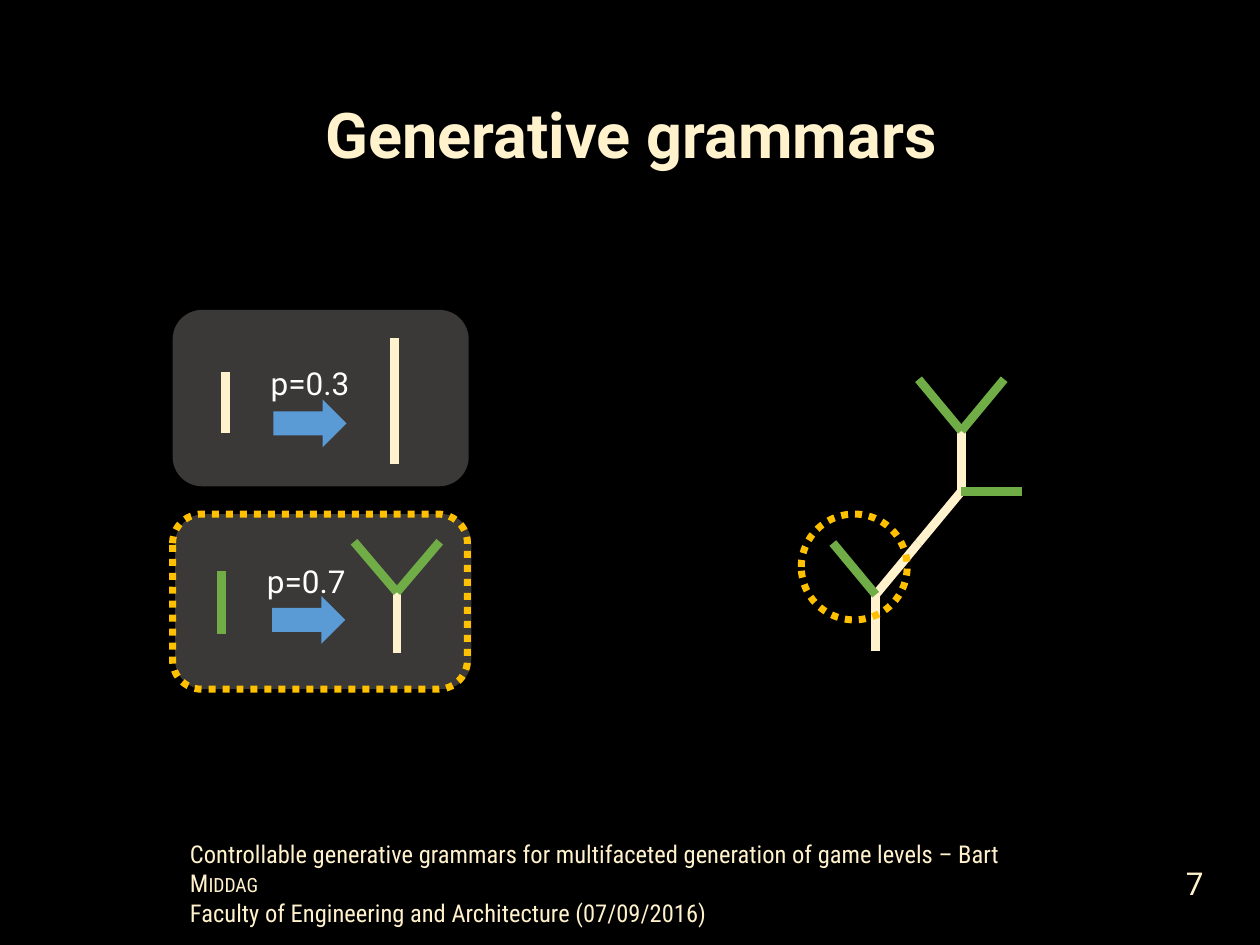
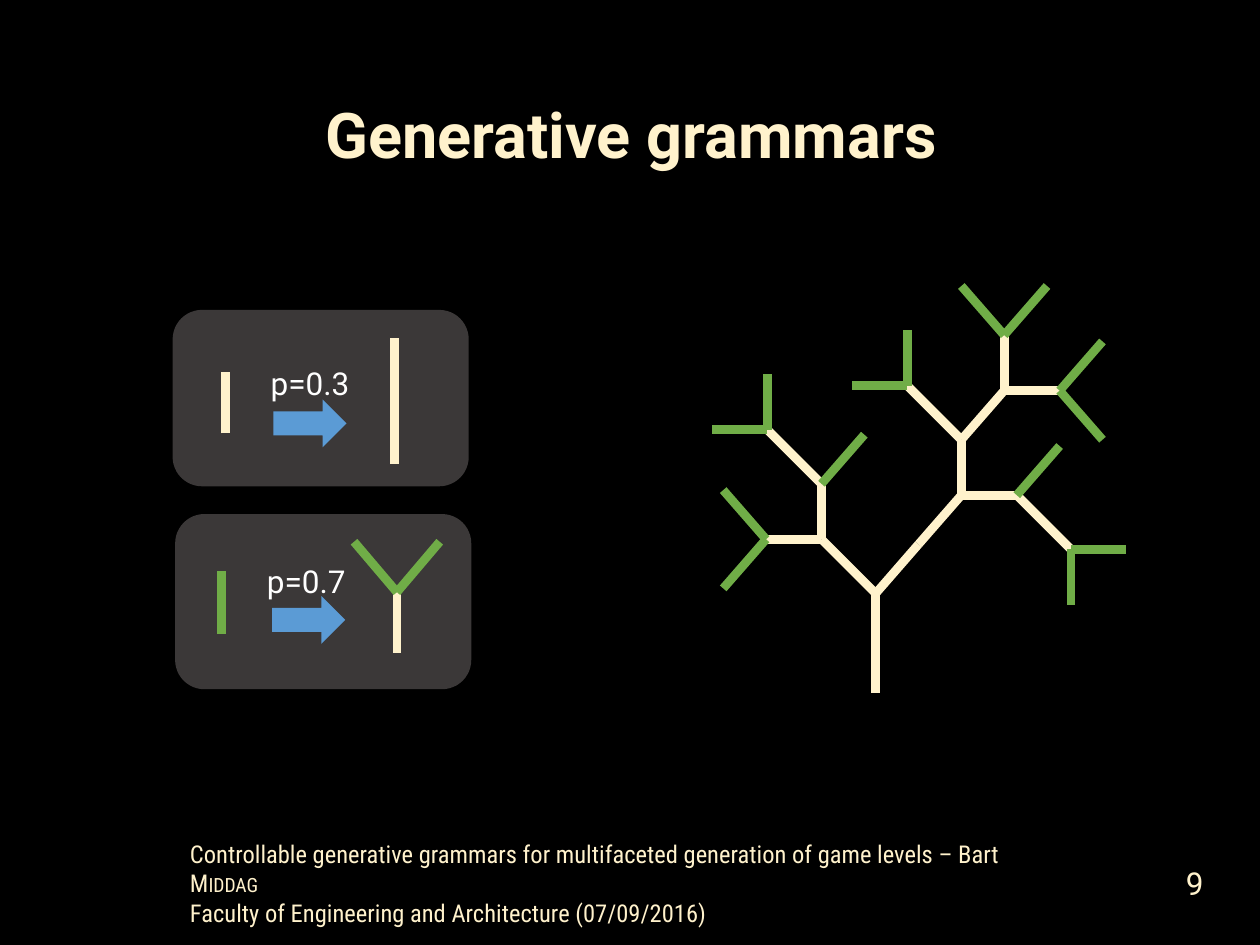
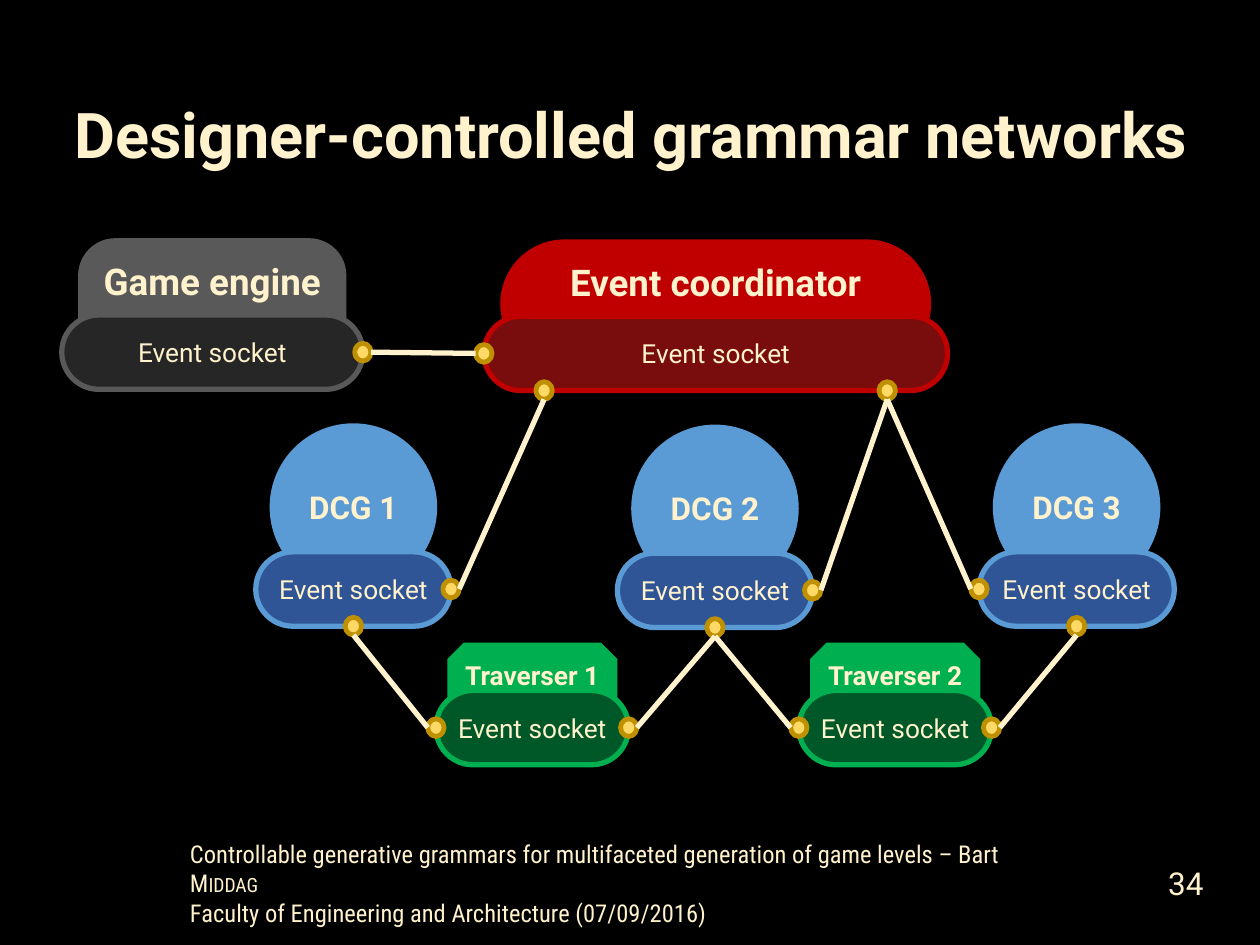
"""Build three dark slides on generative grammars and grammar networks."""
from lxml import etree
from pptx import Presentation
from pptx.dml.color import RGBColor
from pptx.enum.dml import MSO_LINE
from pptx.enum.shapes import MSO_CONNECTOR, MSO_SHAPE as Kind
from pptx.enum.text import MSO_ANCHOR as Anchor, MSO_AUTO_SIZE as Auto, PP_ALIGN as Align
from pptx.oxml.ns import qn
from pptx.util import Cm, Pt

INCH = 2.54
BLACK = RGBColor(0x00, 0x00, 0x00)
WHITE = RGBColor(0xFF, 0xFF, 0xFF)
CREAM = RGBColor(0xFF, 0xF2, 0xCC)
LEAF = RGBColor(0x70, 0xAD, 0x47)
SLATE = RGBColor(0x3B, 0x38, 0x38)
AMBER = RGBColor(0xFF, 0xC0, 0x00)
BLUE = RGBColor(0x5B, 0x9B, 0xD5)
NAVY = RGBColor(0x2F, 0x55, 0x97)
RED = RGBColor(0xC0, 0x00, 0x00)
WINE = RGBColor(0x79, 0x0D, 0x0D)
GREEN = RGBColor(0x00, 0xB0, 0x50)
PINE = RGBColor(0x00, 0x58, 0x28)
GREY = RGBColor(0x59, 0x59, 0x59)
COAL = RGBColor(0x26, 0x26, 0x26)
GOLD = RGBColor(0xFF, 0xD9, 0x66)
OCHRE = RGBColor(0xBF, 0x90, 0x00)


def write(shape, text, size=18, color=CREAM, font="Roboto", bold=False,
          align=Align.LEFT, anchor=Anchor.TOP, wrap=True, caps=False):
    frame = shape.text_frame
    frame.word_wrap, frame.vertical_anchor = wrap, anchor
    para = frame.paragraphs[-1]
    para.alignment = align
    run = para.add_run()
    run.text = text
    run.font.size, run.font.name, run.font.bold = Pt(size), font, bold
    run.font.color.rgb = color
    if caps:
        run.font._element.set("cap", "small")
    return frame


def draw(slide, kind, box, fill=None, edge=None, width=3, adj=()):
    shape = slide.shapes.add_shape(kind, *[Cm(INCH * n) for n in box])
    shape.shadow.inherit = False
    for ink, part in ((fill, shape.fill), (edge, shape.line.fill)):
        if ink is None:
            part.background()
        else:
            part.solid()
            part.fore_color.rgb = ink
    if edge is not None:
        shape.line.width = Pt(width)
    for i, value in enumerate(adj):
        shape.adjustments[i] = value
    return shape


prs = Presentation()
prs.slide_width, prs.slide_height = Cm(INCH * 10), Cm(INCH * 7.5)
back = prs.slide_master.background.fill
back.solid()
back.fore_color.rgb = BLACK

slides = []
for name, page in (("Generative grammars", "7"), ("Generative grammars", "9"),
                   ("Designer-controlled grammar networks", "34")):
    slide = prs.slides.add_slide(prs.slide_layouts[5])
    slides.append(slide)
    title = slide.shapes.title
    title.left, title.top, title.width, title.height = [
        Cm(INCH * n) for n in (0.48, 0.57, 9.06, 1.06)]
    frame = write(title, name, size=36, bold=True, align=Align.CENTER, anchor=Anchor.MIDDLE)
    frame.auto_size = Auto.NONE
    frame.paragraphs[0].line_spacing = 0.9

    foot = slide.shapes.add_textbox(*[Cm(INCH * n) for n in (1.41, 6.61, 7.17, 0.57)])
    look = {"size": 14, "font": "Roboto Condensed"}
    write(foot, "Controllable generative grammars for multifaceted generation "
                "of game levels – Bart ", **look)
    write(foot, "Middag", caps=True, **look)
    foot.text_frame.add_paragraph()
    write(foot, "Faculty of Engineering and Architecture (07/09/2016)", **look)

    count = slide.shapes.add_textbox(*[Cm(INCH * n) for n in (8.51, 6.81, 1.14, 0.4)])
    write(count, page, align=Align.RIGHT, anchor=Anchor.MIDDLE)

young, grown, net = slides
strokes = []

rules = [
    ("p=0.3", (1.37, 2.46, 2.35, 1.4), (2.17, 3.17), (2.05, 2.84)),
    ("p=0.7", (1.39, 4.08, 2.35, 1.39), (2.16, 4.73), (2.02, 4.41)),
]
trees = []
for slide in (young, grown):
    for odds, panel, arrow, label in rules:
        draw(slide, Kind.ROUNDED_RECTANGLE, panel, SLATE)
        draw(slide, Kind.RIGHT_ARROW, (*arrow, 0.58, 0.38), BLUE)
        text = slide.shapes.add_textbox(*[Cm(INCH * n) for n in (*label, 0.9, 0.4)])
        write(text, odds, color=WHITE)
    trees += [
        (slide, (1.79, 3.44), 0.49, CREAM, 0, 0, []),
        (slide, (3.13, 3.68), 1.0, CREAM, 0, 0, []),
        (slide, (1.76, 5.03), 0.5, LEAF, 0, 0, []),
        (slide, (3.15, 5.18), 0.48, CREAM, 0, 0.4, ["nw", "ne"]),
    ]

young_tips = ["nw", "ne ne e", "ne ne n nw", "ne ne n ne"]
grown_tips = [
    "NW w nw", "NW w sw", "NW n ne", "NW n NW n", "NW n NW w",
    "ne ne e ne", "ne ne e SE e", "ne ne e SE s",
    "ne ne n NW n", "ne ne n NW w", "ne ne n ne n nw",
    "ne ne n ne n ne", "ne ne n ne e ne", "ne ne n ne e se",
]
trees += [
    (young, (6.95, 5.17), 0.45, CREAM, 0.48, 0.41, young_tips),
    (grown, (6.95, 5.5), 0.79, CREAM, 0.44, 0.39, grown_tips),
]

SLANT, BEND = 0.34, 0.43
for slide, (left, low), trunk, bark, side, rise, tips in trees:
    steps = {
        "n": (0, -side), "s": (0, side), "e": (side, 0), "w": (-side, 0),
        "ne": (SLANT, -rise), "nw": (-SLANT, -rise),
        "se": (SLANT, rise), "sw": (-SLANT, rise),
        "NW": (-BEND, -BEND), "SE": (BEND, BEND),
    }
    fork = (left, low - trunk)
    wood, leaves = {(left, low, *fork): bark}, {}
    for tip in tips:
        x, y = fork
        turns = tip.split()
        for i, turn in enumerate(turns, 1):
            dx, dy = steps[turn]
            ends = (x, y, x + dx, y + dy)
            if i == len(turns):
                leaves[ends] = LEAF
            else:
                wood[ends] = CREAM
            x, y = x + dx, y + dy
    strokes += [(slide, color, 5, ends) for ends, color in (wood | leaves).items()]

nodes = [
    ("Game engine", Kind.ROUNDED_RECTANGLE, [0.29], (0.62, 1.89, 2.13, 1.02),
     0.13, 0.61, GREY, COAL, 21),
    ("Event coordinator", Kind.ROUNDED_RECTANGLE, [0.5], (3.97, 1.9, 3.42, 1.02),
     0.13, 0.61, RED, WINE, 21),
]
for i, top in enumerate((3.36, 3.37, 3.36)):
    nodes.append((f"DCG {i + 1}", Kind.OVAL, [], (2.14 + 2.87 * i, top, 1.33, 1.33),
                  0.11, 1.02, BLUE, NAVY, 18))
for i in range(2):
    nodes.append((f"Traverser {i + 1}", Kind.SNIP_2_SAME_RECTANGLE, [0.29, 0],
                  (3.55 + 2.88 * i, 5.1, 1.35, 0.45), 0.09, 0.38, GREEN, PINE, 15))

mid = {"align": Align.CENTER, "anchor": Anchor.MIDDLE, "wrap": False}
sockets = {}
for name, kind, adj, box, over, drop, main, dark, size in nodes:
    left, top, width, height = box
    head = draw(net, kind, box, main, adj=adj)
    frame = write(head, name, size=size, bold=True, **mid)
    if size == 21:
        frame.margin_bottom = Cm(1.01)
    sockets[name] = (left - over, top + drop, width + 2 * over, 0.59)
    socket = draw(net, Kind.ROUNDED_RECTANGLE, sockets[name], dark, main, adj=[0.5])
    write(socket, "Event socket", size=15, **mid)

PLUG_W, PLUG_H = 0.13, 0.14
ports = {
    "west": (0, 0.5, -PLUG_W / 2, 0),
    "east": (1, 0.5, PLUG_W / 2, 0),
    "south": (0.5, 1, 0, PLUG_H / 2),
    "south left": (0.13, 1, 0, PLUG_H / 2),
    "south right": (0.87, 1, 0, PLUG_H / 2),
}
wires = [
    (("Game engine", "east"), ("Event coordinator", "west")),
    (("DCG 1", "east"), ("Event coordinator", "south left")),
    (("DCG 2", "east"), ("Event coordinator", "south right")),
    (("DCG 3", "west"), ("Event coordinator", "south right")),
    (("DCG 1", "south"), ("Traverser 1", "west")),
    (("DCG 2", "south"), ("Traverser 1", "east")),
    (("DCG 2", "south"), ("Traverser 2", "west")),
    (("DCG 3", "south"), ("Traverser 2", "east")),
]
plugs = {}
for wire in wires:
    ends = []
    for name, port in wire:
        left, top, width, height = sockets[name]
        across, down, dx, dy = ports[port]
        x, y = left + across * width, top + down * height
        plugs[name, port] = (x - PLUG_W / 2, y - PLUG_H / 2, PLUG_W, PLUG_H)
        ends += [x + dx, y + dy]
    strokes.append((net, CREAM, 3, ends))
for plug in plugs.values():
    draw(net, Kind.FLOWCHART_CONNECTOR, plug, GOLD, OCHRE, 2.75)

for slide, color, width, ends in strokes:
    stroke = slide.shapes.add_connector(
        MSO_CONNECTOR.STRAIGHT, *[Cm(INCH * n) for n in ends])
    stroke.line.color.rgb = color
    stroke.line.width = Pt(width)
    etree.SubElement(stroke._element.spPr, qn("a:effectLst"))

for kind, box in ((Kind.ROUNDED_RECTANGLE, (1.37, 4.08, 2.34, 1.39)),
                  (Kind.OVAL, (6.36, 4.08, 0.84, 0.84))):
    ring = draw(young, kind, box, edge=AMBER, width=4)
    ring.line.dash_style = MSO_LINE.ROUND_DOT

prs.save("out.pptx")
